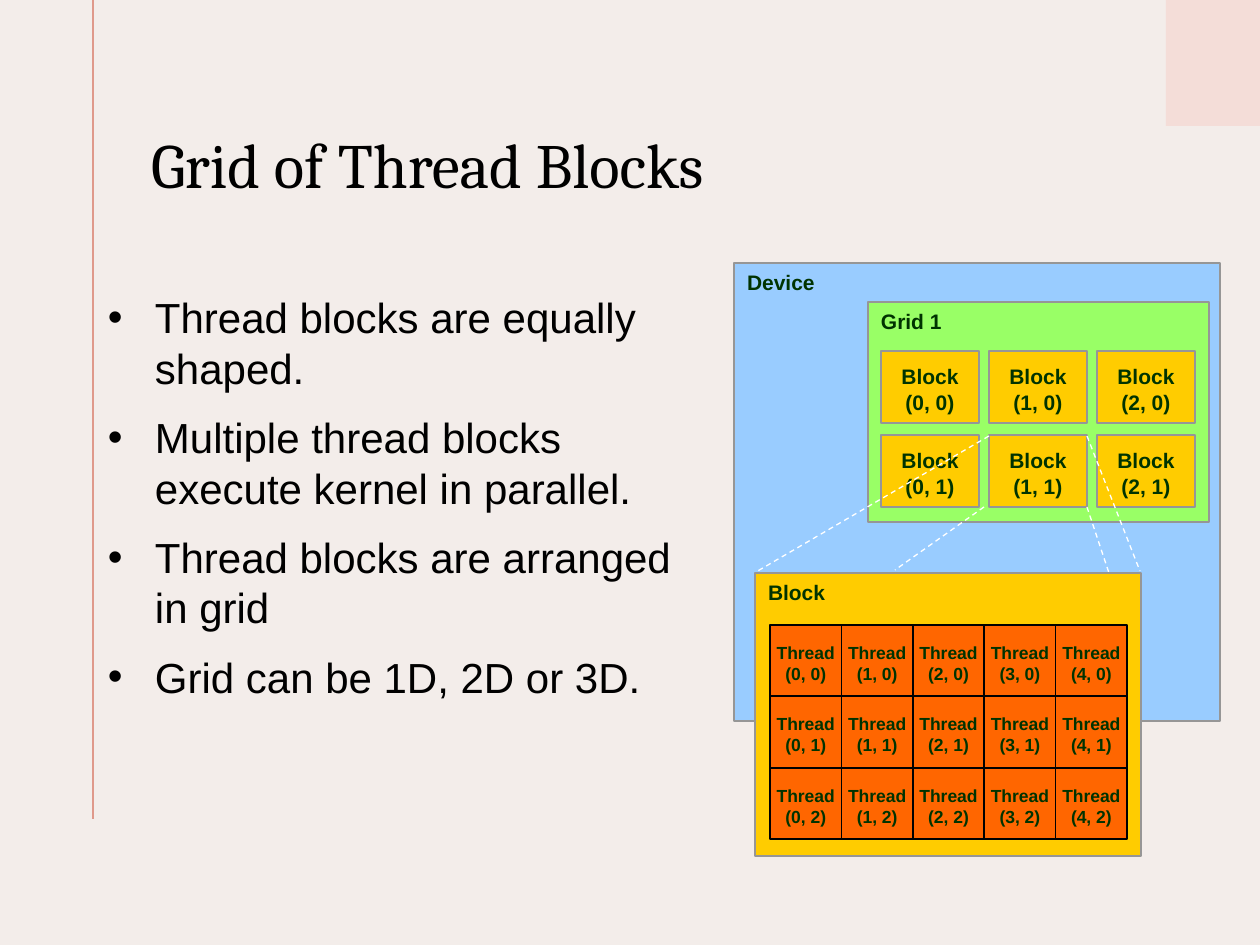
from itertools import product

from lxml.etree import SubElement
from pptx import Presentation
from pptx.dml.color import RGBColor
from pptx.enum.dml import MSO_LINE
from pptx.enum.shapes import MSO_CONNECTOR as CONN, MSO_SHAPE as SHAPE
from pptx.enum.text import MSO_ANCHOR as ANCHOR, MSO_AUTO_SIZE as AUTO, PP_ALIGN as ALIGN
from pptx.oxml.ns import qn
from pptx.util import Emu, Pt

# Content
TITLE = "Grid of Thread Blocks"
BULLETS = [
    "Thread blocks are equally shaped.",
    "Multiple thread blocks execute kernel in parallel.",
    "Thread blocks are arranged in grid",
    "Grid can be 1D, 2D or 3D.",
]
BLOCK_COLS, BLOCK_ROWS = 3, 2
THREAD_COLS, THREAD_ROWS = 5, 3

# Colours
PAPER = RGBColor(0xF3, 0xED, 0xEA)
PINK = RGBColor(0xF4, 0xDD, 0xD8)
ROSE = RGBColor(0xDF, 0x99, 0x8B)
BLUE = RGBColor(0x99, 0xCC, 0xFF)
GREEN = RGBColor(0x99, 0xFF, 0x66)
GOLD = RGBColor(0xFF, 0xCC, 0x00)
ORANGE = RGBColor(0xFF, 0x66, 0x00)
GREY = RGBColor(0x96, 0x96, 0x96)
INK = RGBColor(0x00, 0x33, 0x00)
BLACK = RGBColor(0x00, 0x00, 0x00)
WHITE = RGBColor(0xFF, 0xFF, 0xFF)

# Places in px: left, top, width, height
DEVICE = (734, 263, 486, 458)
GRID = (868, 302, 341, 220)
BLOCK = (755, 573, 386, 283)
THREADS = (770, 625, 357, 214)
FIRST_BLOCK, BLOCK_STEP = (881, 351, 98, 72), (108, 84)
# Dashed zoom lines from Block (1, 1) to the large block: x1, y1, x2, y2
ZOOM = [(989, 436, 756, 572), (1087, 436, 1140, 571),
        (984, 507, 895, 570), (1087, 507, 1109, 573)]


def px(n):
    return Emu(round(n * 914400 / 126))


def place(sp, box):
    for name, n in zip(("left", "top", "width", "height"), box):
        setattr(sp, name, px(n))


def set_frame(tf, insets, **values):
    sides = ("left", "top", "right", "bottom")
    values.update({f"margin_{side}": px(n) for side, n in zip(sides, insets)})
    for name, value in values.items():
        setattr(tf, name, value)


def set_font(font, color, **values):
    font.color.rgb = color
    for name, value in values.items():
        setattr(font, name, value)


def write(tf, lines, size, align=ALIGN.LEFT):
    for i, line in enumerate(lines):
        p = tf.paragraphs[0] if i == 0 else tf.add_paragraph()
        p.alignment = align
        r = p.add_run()
        r.text = line
        set_font(r.font, INK, name="Arial", size=Pt(size), bold=True)


def add_box(shapes, box, fill, line=GREY, width=0.75):
    sp = shapes.add_shape(SHAPE.RECTANGLE, *map(px, box))
    sp.shadow.inherit = False
    sp.fill.solid()
    sp.fill.fore_color.rgb = fill
    if line is None:
        sp.line.fill.background()
    else:
        sp.line.color.rgb = line
        sp.line.width = Pt(width)
    return sp


def add_line(shapes, ends, color, width, dash=None):
    line = shapes.add_connector(CONN.STRAIGHT, *map(px, ends))
    line.line.color.rgb = color
    line.line.width = Pt(width)
    if dash is not None:
        line.line.dash_style = dash
    SubElement(line._element.spPr, qn("a:effectLst"))


def add_panel(shapes, box, fill, label):
    tf = add_box(shapes, box, fill).text_frame
    set_frame(tf, (13, 7, 13, 6), word_wrap=True, vertical_anchor=ANCHOR.TOP)
    write(tf, [label], 12)


def add_title(s):
    sp = s.shapes.title
    place(sp, (151, 70, 1014, 197))
    tf = sp.text_frame
    tf.text = TITLE
    set_frame(tf, (0, 6, 13, 6), vertical_anchor=ANCHOR.MIDDLE, auto_size=AUTO.NONE)
    p = tf.paragraphs[0]
    p.alignment, p.line_spacing = ALIGN.LEFT, 0.9
    set_font(p.runs[0].font, BLACK, name="Cambria", size=Pt(36))


def add_bullets(s):
    sp = s.placeholders[1]
    place(sp, (108, 286, 606, 533))
    tf = sp.text_frame
    set_frame(tf, (0, 6, 13, 6), vertical_anchor=ANCHOR.TOP, auto_size=AUTO.NONE)
    for i, text in enumerate(BULLETS):
        p = tf.paragraphs[0] if i == 0 else tf.add_paragraph()
        p.line_spacing = 1.0
        p.space_before, p.space_after = Pt(4.8 if i else 0), Pt(6)
        pPr = p._p.get_or_add_pPr()
        pPr.set("marL", str(px(47)))
        pPr.set("indent", str(px(-47)))
        SubElement(pPr, qn("a:buFont"), typeface="Arial")
        SubElement(pPr, qn("a:buChar"), char="•")
        r = p.add_run()
        r.text = text
        set_font(r.font, BLACK, name="Arial", size=Pt(24))


def add_blocks(shapes):
    x, y, w, h = FIRST_BLOCK
    dx, dy = BLOCK_STEP
    for row, col in product(range(BLOCK_ROWS), range(BLOCK_COLS)):
        tf = add_box(shapes, (x + col * dx, y + row * dy, w, h), GOLD).text_frame
        set_frame(tf, (0, 13, 0, 0), word_wrap=True, vertical_anchor=ANCHOR.TOP)
        write(tf, ["Block", f"({col}, {row})"], 12, ALIGN.CENTER)


def add_threads(shapes):
    x, y, w, h = THREADS
    dx, dy = w / THREAD_COLS, h / THREAD_ROWS
    add_box(shapes, THREADS, ORANGE, BLACK, 1)
    for col in range(1, THREAD_COLS):
        add_line(shapes, (x + col * dx, y, x + col * dx, y + h), BLACK, 1)
    for row in range(1, THREAD_ROWS):
        add_line(shapes, (x, y + row * dy, x + w, y + row * dy), BLACK, 1)
    for row, col in product(range(THREAD_ROWS), range(THREAD_COLS)):
        box = (x + col * dx, y + row * dy + 17, dx, 42)
        tf = shapes.add_textbox(*map(px, box)).text_frame
        set_frame(tf, (0, 0, 0, 0), word_wrap=True)
        write(tf, ["Thread", f"({col}, {row})"], 10, ALIGN.CENTER)


def main():
    prs = Presentation()
    prs.slide_width, prs.slide_height = px(1260), px(945)
    s = prs.slides.add_slide(prs.slide_layouts[1])
    s.background.fill.solid()
    s.background.fill.fore_color.rgb = PAPER

    # Decoration, title and list
    add_box(s.shapes, (1166, 0, 94, 126), PINK, None)
    add_line(s.shapes, (93, 0, 93, 819), ROSE, 1.5)
    add_title(s)
    add_bullets(s)

    # Diagram: device, grid of blocks, one block enlarged
    shapes = s.shapes.add_group_shape().shapes
    add_panel(shapes, DEVICE, BLUE, "Device")
    add_panel(shapes, GRID, GREEN, "Grid 1")
    add_blocks(shapes)
    for ends in ZOOM:
        add_line(shapes, ends, WHITE, 0.75, MSO_LINE.DASH)
    add_panel(shapes, BLOCK, GOLD, "Block")
    add_threads(shapes)
    prs.save("out.pptx")


if __name__ == "__main__":
    main()
